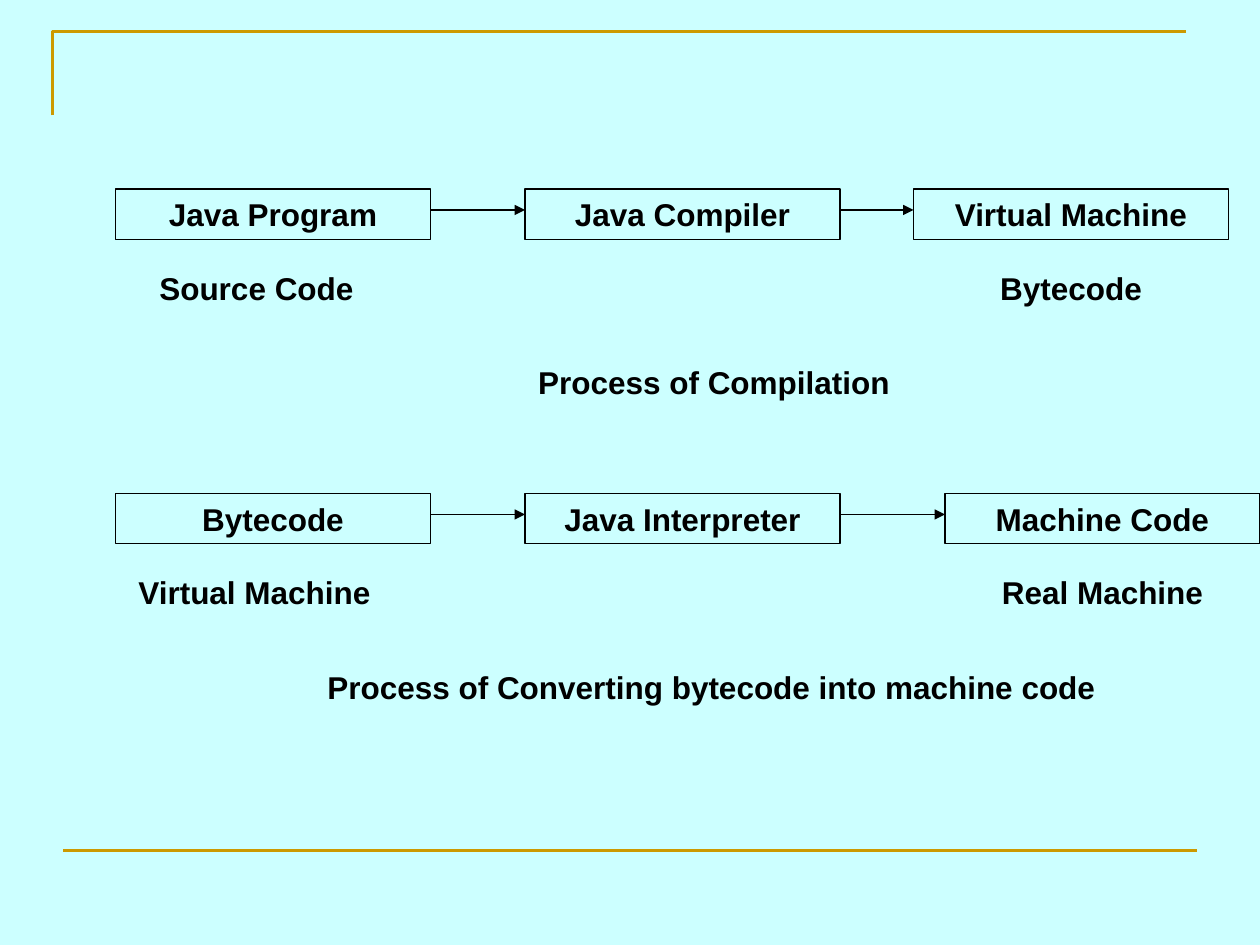
from lxml.etree import SubElement
from pptx import Presentation
from pptx.dml.color import RGBColor
from pptx.enum.shapes import MSO_CONNECTOR, MSO_SHAPE
from pptx.enum.text import MSO_ANCHOR, PP_ALIGN
from pptx.oxml.ns import qn
from pptx.util import Inches, Pt

COLS, ROWS = 120, 90
UNIT = Inches(10) / COLS
WIDE, HIGH = 30, 4.8
INK, GOLD, SKY = "000000", "CC9900", "CCFFFF"
LEFT, MID = PP_ALIGN.LEFT, PP_ALIGN.CENTER


def grid(*cells):
    """Turn grid cells into lengths."""
    return [round(cell * UNIT) for cell in cells]


def paint(form, color):
    """Colour a fill or line format."""
    fill = getattr(form, "fill", form)
    fill.solid()
    fill.fore_color.rgb = RGBColor.from_string(color)


def write(shape, text, align):
    """Put one bold line of text in a shape."""
    frame = shape.text_frame
    frame.word_wrap = True
    frame.vertical_anchor = MSO_ANCHOR.MIDDLE
    para = frame.paragraphs[0]
    para.text, para.alignment = text, align
    font = para.font
    font.name, font.size, font.bold = "Arial", Pt(18), True
    paint(font, INK)


def label(slide, left, top, width, text, align):
    """Add a plain text label."""
    shape = slide.shapes.add_textbox(*grid(left, top, width, HIGH))
    write(shape, text, align)


def box(slide, left, top, text):
    """Add an outlined step of the flow."""
    shape = slide.shapes.add_shape(
        MSO_SHAPE.RECTANGLE, *grid(left, top, WIDE, HIGH))
    shape.shadow.inherit = False
    shape.fill.background()
    paint(shape.line, INK)
    shape.line.width = Pt(0.75)
    write(shape, text, MID)


def rule(slide, start, end, row, color, width, arrow=False):
    """Draw a level line, with an arrowhead if asked."""
    line = slide.shapes.add_connector(
        MSO_CONNECTOR.STRAIGHT, *grid(start, row, end, row))
    paint(line.line, color)
    line.line.width = Pt(width)
    if arrow:
        SubElement(line.line._get_or_add_ln(), qn("a:tailEnd"), type="triangle")
    SubElement(line._element.spPr, qn("a:effectLst"))


def flow(slide, top, lefts, steps, notes):
    """Draw a row of steps, its arrows and the notes below."""
    for left, step in zip(lefts, steps):
        box(slide, left, top, step)
    for left, right in zip(lefts, lefts[1:]):
        rule(slide, left + WIDE, right, top + 2, INK, 0.75, True)
    for left, drop, width, text, align in notes:
        label(slide, left, top + drop, width, text, align)


def frame(slide, left, top, width, height):
    """Draw the gold corner and the bottom rule."""
    edge = slide.shapes.build_freeform(left, top + 8, scale=UNIT)
    edge.add_line_segments([(left, top), (left + width, top)], close=False)
    shape = edge.convert_to_shape()
    shape.shadow.inherit = False
    shape.fill.background()
    paint(shape.line, GOLD)
    shape.line.width = Pt(1.5)
    rule(slide, left + 1, left + width + 1, top + height, GOLD, 1.5)


def main():
    """Build and save the slide."""
    deck = Presentation()
    deck.slide_width, deck.slide_height = grid(COLS, ROWS)
    slide = deck.slides.add_slide(deck.slide_layouts[6])
    paint(slide.background.fill, SKY)
    frame(slide, 5, 3, 108, 78)
    flow(slide, 18, [11, 50, 87],
         ["Java Program", "Java Compiler", "Virtual Machine"],
         [(14, 7, 25, "Source Code", LEFT),
          (88, 7, 28, "Bytecode", MID),
          (48, 16, 40, "Process of Compilation", MID)])
    flow(slide, 47, [11, 50, 90],
         ["Bytecode", "Java Interpreter", "Machine Code"],
         [(12, 7, 29, "Virtual Machine", LEFT),
          (90, 7, 30, "Real Machine", MID),
          (30, 16, 77, "Process of Converting bytecode into machine code", LEFT)])
    deck.save("out.pptx")


if __name__ == "__main__":
    main()
